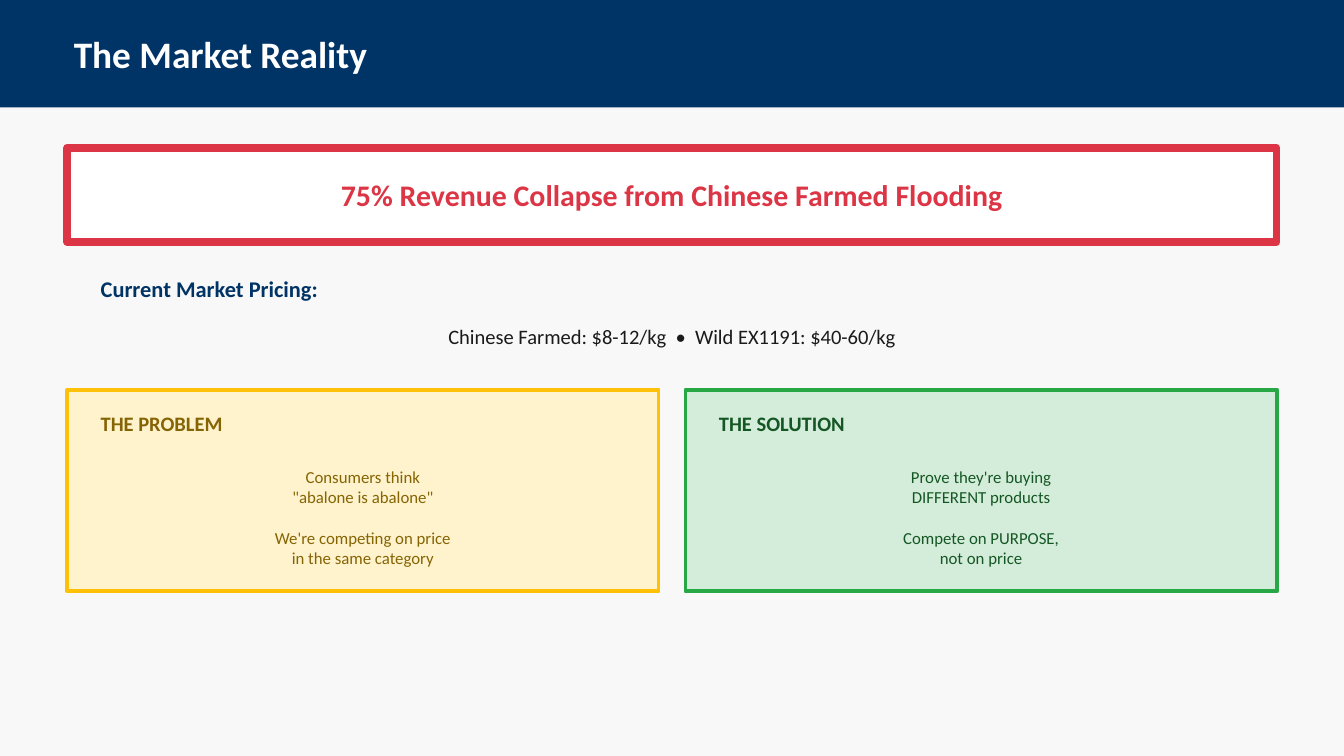
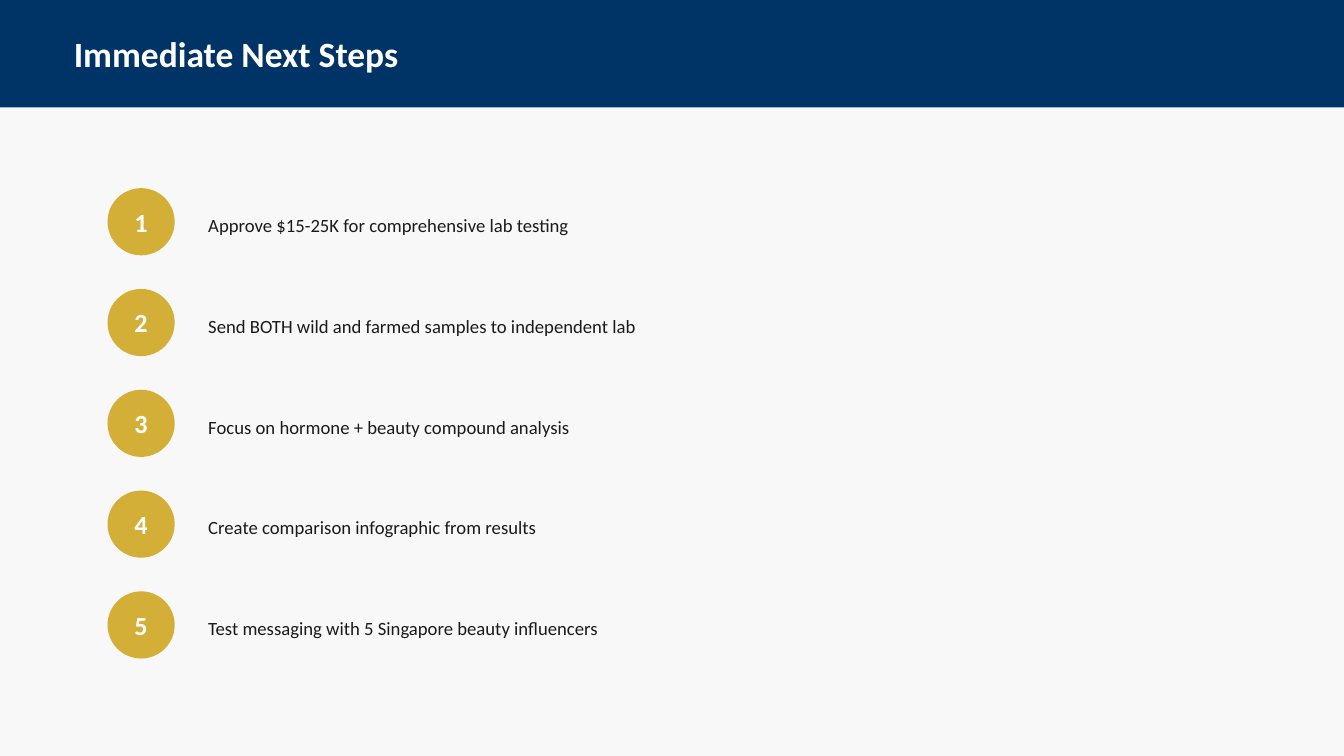
from pptx import Presentation
from pptx.dml.color import RGBColor
from pptx.enum.shapes import MSO_SHAPE as Shape
from pptx.enum.text import MSO_ANCHOR as Anchor, PP_ALIGN as Align
from pptx.util import Inches, Pt

COLORS = {
    "paper": "F8F8F8", "navy": "003366", "white": "FFFFFF", "ink": "1A1A1A",
    "red": "DC3545", "gold": "D4AF37",
    "amber": "FFC107", "cream": "FFF3CD", "brown": "856404",
    "green": "28A745", "mint": "D4EDDA", "forest": "155724",
}
FONT = "Calibri"
SLIDE_W, SLIDE_H = 20, 11.25
MARGIN = 1
CONTENT_W = SLIDE_W - 2 * MARGIN
PAD = 0.4
CARD_GAP = 0.4
BLANK_LINE = 22
STEP_PITCH = 1.5

PROBLEM = {
    "heading": "THE PROBLEM",
    "statements": [("Consumers think", "\"abalone is abalone\""),
                   ("We're competing on price", "in the same category")],
    "fill": "cream", "border": "amber", "ink": "brown",
}
SOLUTION = {
    "heading": "THE SOLUTION",
    "statements": [("Prove they're buying", "DIFFERENT products"),
                   ("Compete on PURPOSE,", "not on price")],
    "fill": "mint", "border": "green", "ink": "forest",
}
STEPS = [
    "Approve $15-25K for comprehensive lab testing",
    "Send BOTH wild and farmed samples to independent lab",
    "Focus on hormone + beauty compound analysis",
    "Create comparison infographic from results",
    "Test messaging with 5 Singapore beauty influencers",
]


def rgb(name):
    """Return the named palette colour."""
    return RGBColor.from_string(COLORS[name])


def write(frame, groups, size, color, bold=False, align=Align.LEFT):
    """Write groups of lines, one paragraph a line, with a gap between groups."""
    for setting, value in {"word_wrap": True, "vertical_anchor": Anchor.MIDDLE}.items():
        setattr(frame, setting, value)
    style = {"name": FONT, "size": Pt(size), "bold": bold}
    lines = [(line, group > 0 and row == 0)
             for group, texts in enumerate(groups) for row, line in enumerate(texts)]
    for index, (line, opens_group) in enumerate(lines):
        paragraph = frame.add_paragraph() if index else frame.paragraphs[0]
        paragraph.alignment = align
        if opens_group:
            paragraph.space_before = Pt(BLANK_LINE)
        run = paragraph.add_run()
        run.text = line
        for setting, value in style.items():
            setattr(run.font, setting, value)
        run.font.color.rgb = rgb(color)


def add_label(slide, box, groups, size, color, **style):
    """Add a text box at the given box."""
    label = slide.shapes.add_textbox(*map(Inches, box))
    write(label.text_frame, groups, size, color, **style)


def add_panel(slide, box, fill, border=None, width=0, kind=Shape.RECTANGLE):
    """Add a filled shape, outlined only when a border colour is given."""
    panel = slide.shapes.add_shape(kind, *map(Inches, box))
    panel.shadow.inherit = False
    panel.fill.solid()
    panel.fill.fore_color.rgb = rgb(fill)
    if border:
        panel.line.color.rgb = rgb(border)
        panel.line.width = Pt(width)
    else:
        panel.line.fill.background()
    return panel


def start_slide(deck, title, title_size):
    """Add a slide with the shared background and title band."""
    slide = deck.slides.add_slide(deck.slide_layouts[6])
    slide.background.fill.solid()
    slide.background.fill.fore_color.rgb = rgb("paper")
    add_panel(slide, (0, 0, SLIDE_W, 1.6), "navy")
    add_label(slide, (MARGIN, 0.4, CONTENT_W, 0.8), [[title]], title_size, "white", bold=True)
    return slide


def add_banner(slide, box, headline):
    """Add the outlined headline banner."""
    banner = add_panel(slide, box, "white", "red", 8)
    write(banner.text_frame, [[headline]], 32, "red", bold=True, align=Align.CENTER)


def add_pricing(slide, box, heading, prices):
    """Add the pricing heading with the price line below it."""
    left, top, width, _ = box
    add_label(slide, (left, top, width, 0.6), [[heading]], 24, "navy", bold=True)
    add_label(slide, (left, top + 0.7, width, 0.6), [[prices]], 22, "ink", align=Align.CENTER)


def add_card(slide, box, card):
    """Add a tinted card with a heading and centred statements."""
    left, top, width, height = box
    add_panel(slide, box, card["fill"], card["border"], 4)
    inner_left, inner_width = left + PAD, width - 2 * PAD
    add_label(slide, (inner_left, top + 0.2, inner_width, 0.6),
              [[card["heading"]]], 22, card["ink"], bold=True)
    add_label(slide, (inner_left, top + 0.9, inner_width, height - 1),
              card["statements"], 18, card["ink"], align=Align.CENTER)


def add_step(slide, box, number, action):
    """Add a numbered disc with its action to the right."""
    left, top, width, size = box
    disc = add_panel(slide, (left, top, size, size), "gold", kind=Shape.OVAL)
    write(disc.text_frame, [[str(number)]], 28, "white", bold=True, align=Align.CENTER)
    indent = size + PAD
    add_label(slide, (left + indent, top + 0.2, width - indent, 0.7), [[action]], 20, "ink")


def build_market(deck):
    """Build the market slide."""
    slide = start_slide(deck, "The Market Reality", 40)
    add_banner(slide, (MARGIN, 2.2, CONTENT_W, 1.4),
               "75% Revenue Collapse from Chinese Farmed Flooding")
    add_pricing(slide, (MARGIN + PAD, 4, CONTENT_W - 2 * PAD, 1.3),
                "Current Market Pricing:",
                "Chinese Farmed: $8-12/kg  •  Wild EX1191: $40-60/kg")
    card_width = (CONTENT_W - CARD_GAP) / 2
    for column, card in enumerate((PROBLEM, SOLUTION)):
        left = MARGIN + column * (card_width + CARD_GAP)
        add_card(slide, (left, 5.8, card_width, 3), card)


def build_steps(deck):
    """Build the next steps slide."""
    slide = start_slide(deck, "Immediate Next Steps", 38)
    for index, action in enumerate(STEPS):
        add_step(slide, (1.6, 2.8 + index * STEP_PITCH, 17, 1), index + 1, action)


def main():
    """Build and save the deck."""
    deck = Presentation()
    deck.slide_width, deck.slide_height = Inches(SLIDE_W), Inches(SLIDE_H)
    build_market(deck)
    build_steps(deck)
    deck.save("out.pptx")


if __name__ == "__main__":
    main()
